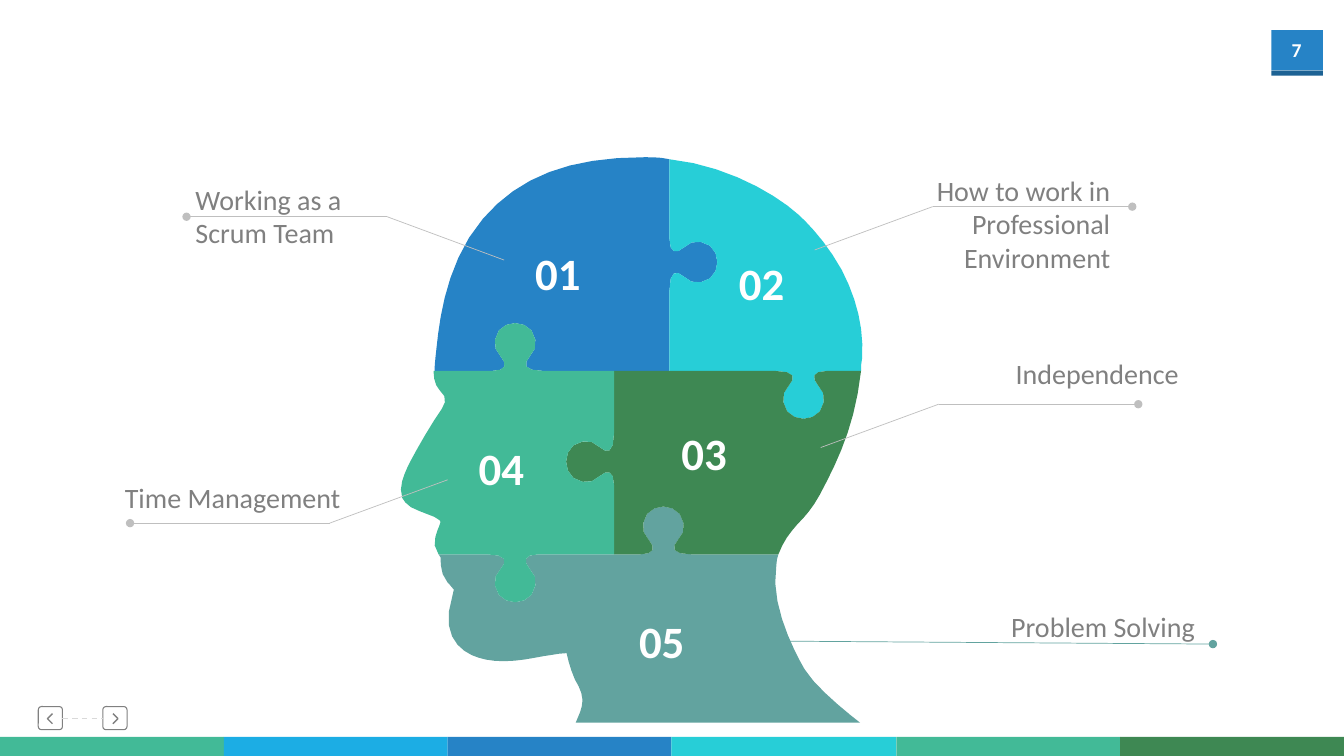
from dataclasses import dataclass
from math import dist, sqrt

from pptx import Presentation
from pptx.dml.color import RGBColor
from pptx.enum.dml import MSO_LINE
from pptx.enum.shapes import MSO_CONNECTOR, MSO_SHAPE
from pptx.enum.text import MSO_ANCHOR, PP_ALIGN
from pptx.oxml.ns import qn
from pptx.util import Pt
from lxml.etree import SubElement

PX = 9144  # 100 px to the inch
WIDTH, HEIGHT = 1333, 750


@dataclass(frozen=True)
class Theme:
    font: str = "Calibri"
    blue: str = "2683C6"
    dark_blue: str = "1D6294"
    sky: str = "1CADE4"
    cyan: str = "27CED7"
    mint: str = "42BA97"
    green: str = "3E8853"
    teal: str = "62A39F"
    white: str = "FFFFFF"
    text: str = "808080"
    leader: str = "BFBFBF"
    dash: str = "D9D9D9"
    page_size: int = 14
    caption_size: int = 20
    number_size: int = 32


THEME = Theme()

# Bezier chain of a jigsaw knob: (distance along the seam, distance out of it)
KNOB = [(-23, 0), (-12, 0), (-9, 4), (-11, 9), (-15, 18), (-22, 19), (-20, 31),
        (-17, 53), (17, 53), (20, 31), (22, 19), (15, 18), (11, 9),
        (9, 4), (13, 0), (28, 0)]

# Outer contours as Bezier chains: a start, then three points per curve
CROWN = [(664, 158), (656, 156), (647, 156), (639, 156), (565, 156), (515, 175), (479, 217),
         (443, 259), (436, 316), (433, 345), (432, 354), (431, 362), (431, 368)]
BACK_TOP = [(854, 368), (854, 364), (854, 360), (855, 356), (857, 326), (850, 297), (835, 268),
            (820, 241), (802, 222), (792, 213), (770, 193), (721, 164), (664, 158)]
BACK_LOW = [(854, 368), (848, 423), (830, 459), (813, 491), (806, 504), (798, 513), (791, 520),
            (783, 529), (777, 537), (772, 550)]
FACE = [(430, 368), (430, 376), (432, 383), (436, 387), (443, 393), (443, 399), (438, 406),
        (426, 423), (408, 455), (404, 464), (401, 471), (395, 483), (399, 494),
        (401, 498), (406, 504), (416, 507), (437, 514), (437, 517), (437, 518),
        (436, 521), (435, 524), (434, 526), (432, 532), (428, 541), (435, 550)]
JAW = [(437, 553), (437, 560), (437, 570), (444, 578), (445, 579), (446, 579), (446, 580),
       (451, 585), (451, 585), (449, 590), (437, 627), (453, 643), (468, 650),
       (477, 654), (487, 656), (500, 656), (514, 656), (528, 653), (539, 651),
       (547, 650), (555, 648), (562, 648), (564, 658), (569, 674), (574, 681),
       (577, 687), (579, 695), (577, 701), (576, 706), (573, 712), (571, 717)]
NAPE = [(853, 717), (839, 706), (809, 682), (798, 664), (790, 650), (763, 601), (770, 561),
        (770, 557), (771, 553), (772, 550)]


def rgb(color):
    return RGBColor.from_string(color)


def smooth(chain):
    """Turn a Bezier chain into points, with more of them on longer curves."""
    points = [chain[0]]
    for first in range(0, len(chain) - 1, 3):
        curve = chain[first:first + 4]
        length = sum(dist(a, b) for a, b in zip(curve, curve[1:]))
        steps = max(1, round(sqrt(length) / 1.6))
        for step in range(1, steps + 1):
            t = step / steps
            weights = ((1 - t) ** 3, 3 * t * (1 - t) ** 2, 3 * t * t * (1 - t), t ** 3)
            points.append(tuple(sum(w * point[axis] for w, point in zip(weights, curve))
                                for axis in (0, 1)))
    return points


def knob(x, y, along_x, along_y):
    """Place a knob on a seam; it bulges to the left of its direction."""
    return smooth([(x + u * along_x + v * along_y, y + u * along_y - v * along_x)
                   for u, v in KNOB])


def add_outline(page, points, close=True):
    start, *rest = [(x * PX, y * PX) for x, y in points]
    builder = page.shapes.build_freeform(*start, scale=1.0)
    builder.add_line_segments(rest, close=close)
    shape = builder.convert_to_shape()
    shape.shadow.inherit = False
    return shape


def paint(shape, color):
    shape.fill.solid()
    shape.fill.fore_color.rgb = rgb(color)
    shape.line.fill.background()


def stroke(shape, color, width):
    shape.fill.background()
    shape.line.color.rgb = rgb(color)
    shape.line.width = Pt(width)


def add_box(page, box, kind=MSO_SHAPE.RECTANGLE):
    shape = page.shapes.add_shape(kind, *(length * PX for length in box))
    shape.shadow.inherit = False
    return shape


def add_text(page, box, text, size, color, bold=False, align=PP_ALIGN.LEFT, wrap=True):
    frame = page.shapes.add_textbox(*(length * PX for length in box)).text_frame
    frame.word_wrap = wrap
    frame.vertical_anchor = MSO_ANCHOR.TOP
    para = frame.paragraphs[0]
    para.text = text
    para.alignment = align
    para.font.name = THEME.font
    para.font.size = Pt(size)
    para.font.bold = bold
    para.font.color.rgb = rgb(color)


def add_line(page, start, end, color, width, dot=False, dash=None):
    line = page.shapes.add_connector(MSO_CONNECTOR.STRAIGHT,
                                     *(length * PX for length in start + end))
    line.line.color.rgb = rgb(color)
    line.line.width = Pt(width)
    if dash:
        line.line.dash_style = dash
    properties = line._element.spPr
    if dot:
        SubElement(properties.find(qn("a:ln")), qn("a:tailEnd"), type="oval")
    SubElement(properties, qn("a:effectLst"))


def page_badge(page, x, y, number):
    paint(add_box(page, (x, y, 51, 40)), THEME.blue)
    paint(add_box(page, (x, y + 40, 51, 5)), THEME.dark_blue)
    add_text(page, (x + 3, y + 3, 44, 34), number, THEME.page_size, THEME.white,
             bold=True, align=PP_ALIGN.CENTER, wrap=False)


def navigation(page, x, y):
    for left, turn in ((x, -1), (x + 64, 1)):
        button = add_box(page, (left, y, 24, 23), MSO_SHAPE.ROUNDED_RECTANGLE)
        button.adjustments[0] = 0.14
        stroke(button, THEME.text, 0.75)
        middle_x, middle_y = left + 12, y + 12
        chevron = add_outline(page, [(middle_x - 2 * turn, middle_y - 5),
                                     (middle_x + 3 * turn, middle_y),
                                     (middle_x - 2 * turn, middle_y + 5)], close=False)
        stroke(chevron, THEME.text, 1)
    add_line(page, (x + 24, y + 12), (x + 64, y + 12), THEME.dash, 1, dash=MSO_LINE.DASH)


def puzzle_head(page):
    knob_12 = knob(664, 260, 0, 1)
    knob_14 = knob(511, 368, 1, 0)
    knob_23 = knob(797, 368, -1, 0)
    knob_34 = knob(609, 458, 0, -1)
    knob_35 = knob(658, 550, 1, 0)
    knob_45 = knob(511, 550, -1, 0)
    pieces = [
        (THEME.blue, smooth(CROWN) + knob_14 + [(664, 368)] + knob_12[::-1]),
        (THEME.teal, [(435, 550)] + smooth(JAW) + smooth(NAPE) + knob_35[::-1] + knob_45),
        (THEME.cyan, smooth(BACK_TOP) + knob_12 + [(664, 368)] + knob_23[::-1]),
        (THEME.green, [(609, 368)] + knob_23[::-1] + smooth(BACK_LOW) + knob_35[::-1]
         + [(609, 550)] + knob_34),
        (THEME.mint, smooth(FACE) + knob_45[::-1] + [(609, 550)] + knob_34
         + [(609, 368)] + knob_14[::-1]),
    ]
    for color, outline in pieces:
        paint(add_outline(page, outline), color)
    places = [(521, 239), (723, 249), (666, 417), (465, 432), (624, 604)]
    for number, (x, y) in enumerate(places, start=1):
        add_text(page, (x, y, 66, 64), f"{number:02}", THEME.number_size, THEME.white,
                 bold=True, wrap=False)


def callout(page, text, box, align, leader, color=THEME.leader):
    """Caption with a leader that ends in a dot."""
    for index, (start, end) in enumerate(zip(leader, leader[1:]), start=2):
        add_line(page, start, end, color, 0.5, dot=index == len(leader))
    add_text(page, box, text, THEME.caption_size, THEME.text, align=align)


def color_strip(page, top):
    colors = [THEME.mint, THEME.sky, THEME.blue, THEME.cyan, THEME.mint, THEME.green]
    edges = [round(index * WIDTH / len(colors)) for index in range(len(colors) + 1)]
    for color, left, right in zip(colors, edges, edges[1:]):
        paint(add_box(page, (left, top, right - left, HEIGHT - top)), color)


def skills_slide(deck):
    page = deck.slides.add_slide(deck.slide_layouts[6])
    page_badge(page, 1261, 30, "7")
    navigation(page, 38, 701)
    puzzle_head(page)
    left, right = PP_ALIGN.LEFT, PP_ALIGN.RIGHT
    callout(page, "Working as a Scrum Team", (184, 176, 172, 77), left,
            [(500, 258), (384, 215), (185, 215)])
    callout(page, "Time Management", (114, 472, 244, 44), left,
            [(444, 476), (327, 519), (129, 519)])
    callout(page, "How to work in Professional Environment", (890, 167, 221, 111), right,
            [(808, 248), (925, 205), (1123, 205)])
    callout(page, "Independence", (960, 349, 219, 44), right,
            [(814, 444), (931, 401), (1129, 401)])
    callout(page, "Problem Solving", (948, 600, 247, 44), right,
            [(766, 636), (1203, 639)], THEME.teal)
    color_strip(page, 731)


def main():
    deck = Presentation()
    deck.slide_width, deck.slide_height = WIDTH * PX, HEIGHT * PX
    skills_slide(deck)
    deck.save("out.pptx")


if __name__ == "__main__":
    main()
